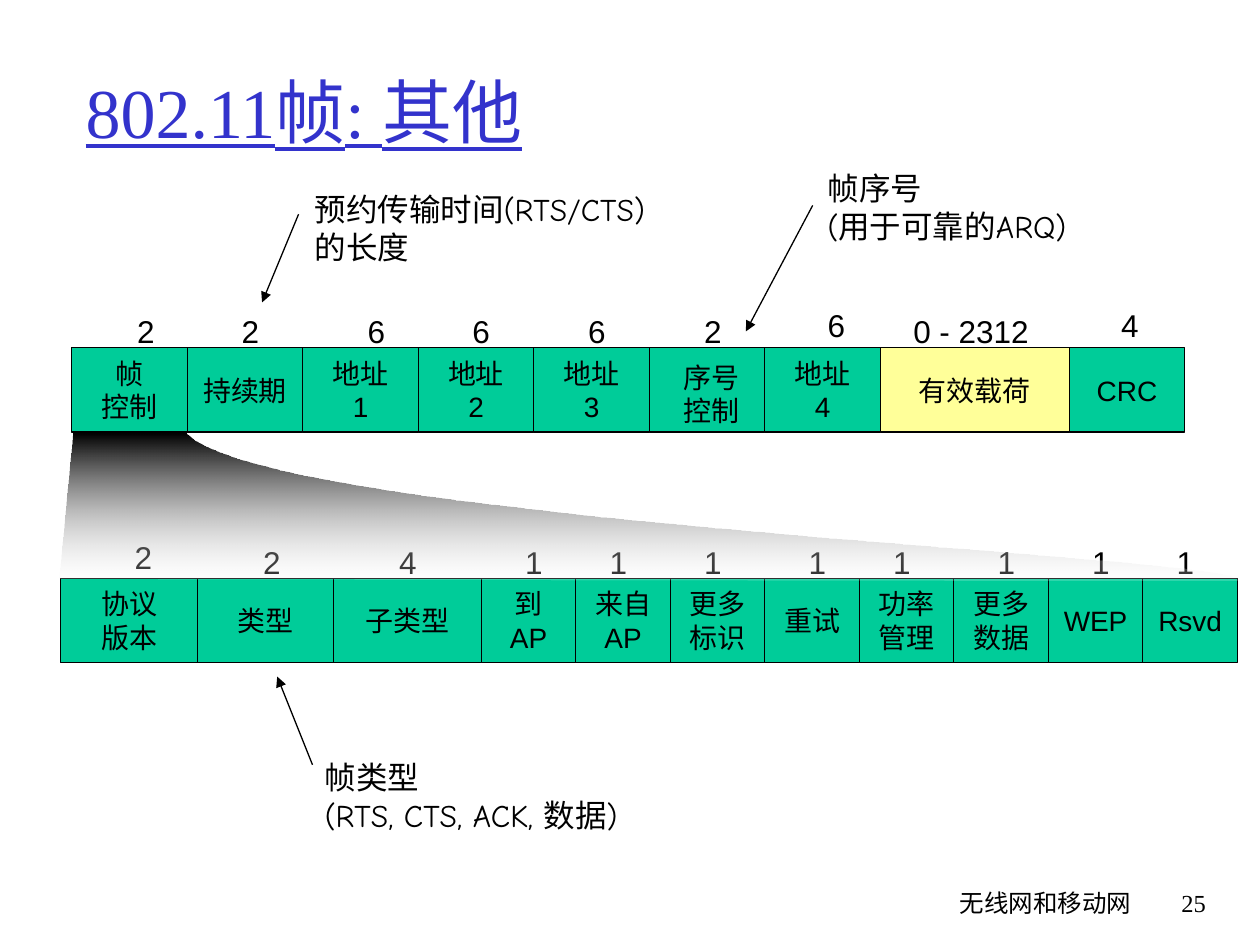
from lxml import etree
from pptx import Presentation
from pptx.dml.color import RGBColor
from pptx.enum.shapes import MSO_CONNECTOR, MSO_SHAPE
from pptx.enum.text import MSO_ANCHOR, MSO_AUTO_SIZE, PP_ALIGN
from pptx.oxml import parse_xml
from pptx.oxml.ns import nsdecls, qn
from pptx.util import Inches, Pt

LEFT, CENTER, RIGHT = PP_ALIGN.LEFT, PP_ALIGN.CENTER, PP_ALIGN.RIGHT
MIDDLE = MSO_ANCHOR.MIDDLE
GREEN, YELLOW, BLACK, BLUE = "00CC99", "FFFF99", "000000", "3333CC"
SANS, COMIC, SERIF = "Arial", "Comic Neue", "Times New Roman"

TITLE = "802.11帧: 其他"
CELL_H = 0.67
COL = 11 / 12
# field name, width, fill, byte or bit count, left and top of the count
FRAME = (0.57, 2.76, [
    ("帧\n控制", COL, GREEN, "2", 0.99, 2.43),
    ("持续期", COL, GREEN, "2", 1.82, 2.43),
    ("地址\n1", COL, GREEN, "6", 2.82, 2.43),
    ("地址\n2", COL, GREEN, "6", 3.65, 2.43),
    ("地址\n3", COL, GREEN, "6", 4.57, 2.43),
    ("", COL, GREEN, "2", 5.49, 2.43),
    ("地址\n4", COL, GREEN, "6", 6.47, 2.38),
    ("有效载荷", 1.5, YELLOW, "0 - 2312", 7.15, 2.43),
    ("CRC", COL, GREEN, "4", 8.8, 2.38),
])
CONTROL = (0.48, 4.59, [
    ("协议\n版本", 1.09, GREEN, "2", 0.97, 4.22),
    ("类型", 1.08, GREEN, "2", 1.99, 4.26),
    ("子类型", 1.17, GREEN, "4", 3.07, 4.26),
    ("到\nAP", 0.75, GREEN, "1", 4.07, 4.26),
    ("来自\nAP", 0.75, GREEN, "1", 4.74, 4.26),
    ("更多\n标识", 0.75, GREEN, "1", 5.49, 4.26),
    ("重试", 0.75, GREEN, "1", 6.32, 4.26),
    ("功率\n管理", 0.75, GREEN, "1", 6.99, 4.26),
    ("更多\n数据", 0.75, GREEN, "1", 7.82, 4.26),
    ("WEP", 0.75, GREEN, "1", 8.57, 4.26),
    ("Rsvd", 0.75, GREEN, "1", 9.24, 4.26),
])
NOTES = [
    ("预约传输时间(RTS/CTS)\n的长度", 2.4, 1.46, 2.9),
    ("帧序号\n(用于可靠的ARQ)", 6.47, 1.29, 2.3),
    ("帧类型\n(RTS, CTS, ACK, 数据)", 2.48, 5.97, 2.66),
]
ARROWS = [(2.37, 1.7, 2.08, 2.4), (6.45, 1.63, 5.92, 2.63), (2.48, 6.07, 2.2, 5.37)]
FOOTERS = [("无线网和移动网", 4.86, 4.22, COMIC), ("25", 8.93, 0.74, SERIF)]
FAN_START = [(0.58, 3.44), (0.47, 4.59), (9.83, 4.61)]
FAN_CURVE = [(9.83, 4.61), (10, 4.41), (2.16, 4.15), (1.48, 3.44)]

prs = Presentation()
prs.slide_width, prs.slide_height = Inches(10), Inches(7.5)
slide = prs.slides.add_slide(prs.slide_layouts[5])
shapes = slide.shapes


def rgb(color):
    return RGBColor.from_string(color)


def inches(*values):
    return [Inches(v) for v in values]


def write(sp, text, size, font, color=BLACK, align=LEFT, wrap=False):
    tf = sp.text_frame
    tf.word_wrap = wrap
    tf.text = text
    for p in tf.paragraphs:
        p.alignment = align
        for r in p.runs:
            r.font.size, r.font.name = Pt(size), font
            r.font.color.rgb = rgb(color)
    return tf


def add_label(text, x, y, w, h, size, font, align=LEFT):
    tf = write(shapes.add_textbox(*inches(x, y, w, h)), text, size, font, align=align)
    tf.auto_size = MSO_AUTO_SIZE.SHAPE_TO_FIT_TEXT


def add_fields(left, top, fields):
    """Draw a row of touching cells, then the counts above them."""
    x = left
    for name, w, fill, *_ in fields:
        sp = shapes.add_shape(MSO_SHAPE.RECTANGLE, *inches(x, top, w, CELL_H))
        sp.shadow.inherit = False
        sp.fill.solid()
        sp.fill.fore_color.rgb = rgb(fill)
        sp.line.color.rgb = rgb(BLACK)
        sp.line.width = Pt(0.75)
        if name:
            write(sp, name, 16, SANS, align=CENTER).vertical_anchor = MIDDLE
        x += w
    for *_, count, cx, cy in fields:
        add_label(count, cx, cy, 1.2 if len(count) > 1 else 0.34, 0.4, 18, SANS)


def bezier(points, steps=40):
    a, b, c, d = points
    ts = [i / steps for i in range(1, steps + 1)]
    return [tuple((1 - t) ** 3 * a[k] + 3 * t * (1 - t) ** 2 * b[k]
                  + 3 * t * t * (1 - t) * c[k] + t ** 3 * d[k] for k in (0, 1))
            for t in ts]


def add_fan():
    """Draw the shaded zoom from the control field, fading to clear white."""
    outline = [inches(*point) for point in FAN_START + bezier(FAN_CURVE)]
    builder = shapes.build_freeform(*outline[0])
    builder.add_line_segments(outline[1:], close=True)
    sp = builder.convert_to_shape()
    sp.shadow.inherit = False
    sp.line.fill.background()
    grad = parse_xml(
        f'<a:gradFill {nsdecls("a")} rotWithShape="1"><a:gsLst>'
        '<a:gs pos="0"><a:srgbClr val="000000"/></a:gs>'
        '<a:gs pos="100000"><a:srgbClr val="FFFFFF"><a:alpha val="18000"/></a:srgbClr></a:gs>'
        '</a:gsLst><a:lin ang="5400000" scaled="0"/></a:gradFill>')
    sp._element.spPr.find(qn("a:custGeom")).addnext(grad)


def add_arrow(*ends):
    line = shapes.add_connector(MSO_CONNECTOR.STRAIGHT, *inches(*ends))
    line.line.color.rgb = rgb(BLACK)
    line.line.width = Pt(0.75)
    etree.SubElement(line.line._get_or_add_ln(), qn("a:tailEnd"), type="triangle")
    etree.SubElement(line._element.spPr, qn("a:effectLst"))


title = shapes.title
title.left, title.top, title.width, title.height = inches(0.58, 0.25, 8.5, 1.25)
tf = write(title, TITLE, 40, SERIF, BLUE, wrap=True)
tf.vertical_anchor = MIDDLE
tf.paragraphs[0].runs[0].font.underline = True

for text, x, w, font in FOOTERS:
    write(shapes.add_textbox(*inches(x, 7, w, 0.5)), text, 14, font, align=RIGHT, wrap=True)

add_fields(*FRAME)
add_label("序号\n控制", 5.33, 2.81, 0.64, 0.64, 16, SANS, CENTER)
add_fields(*CONTROL)
add_fan()
for text, x, y, w in NOTES:
    add_label(text, x, y, w, 0.7, 18, COMIC)
for ends in ARROWS:
    add_arrow(*ends)

prs.save("out.pptx")
